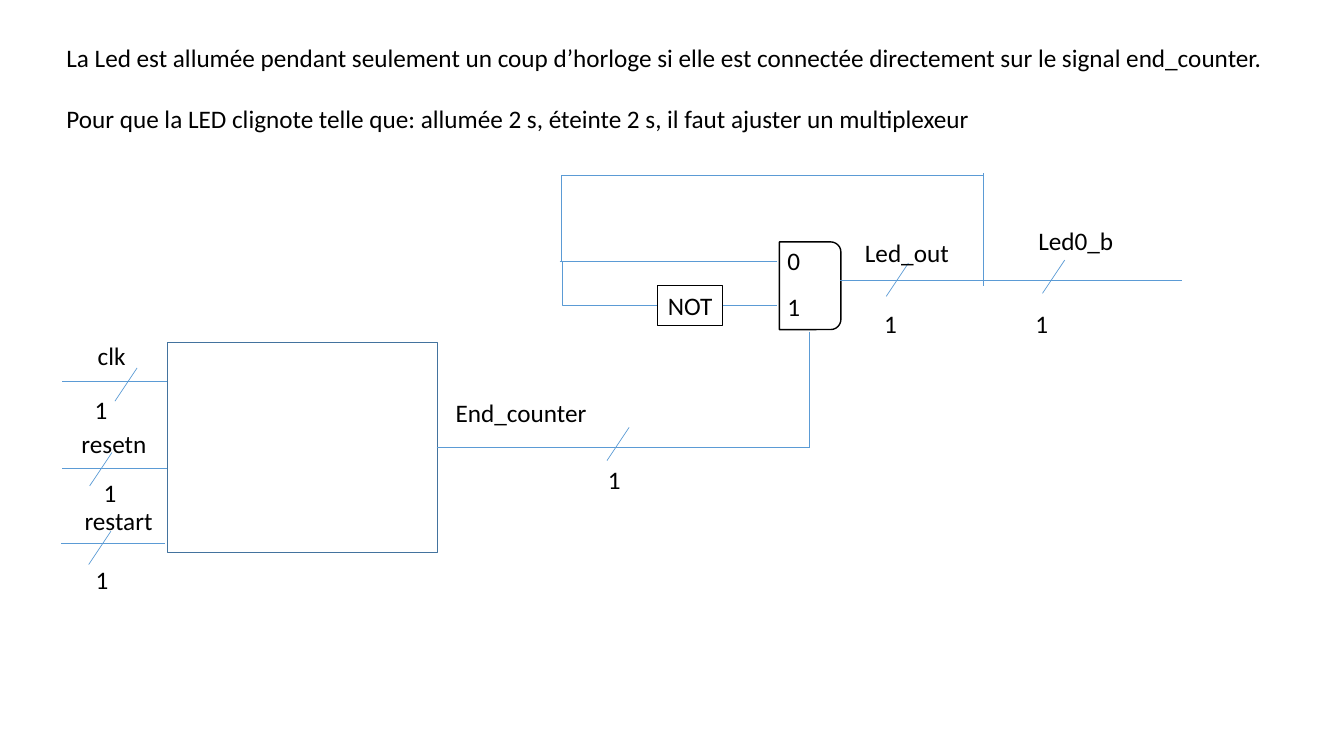
from lxml import etree
from pptx import Presentation
from pptx.dml.color import RGBColor
from pptx.enum.shapes import MSO_CONNECTOR, MSO_SHAPE
from pptx.enum.text import MSO_ANCHOR, MSO_AUTO_SIZE, PP_ALIGN
from pptx.oxml.ns import qn
from pptx.util import Inches, Pt

STRAIGHT = MSO_CONNECTOR.STRAIGHT
ELBOW = MSO_CONNECTOR.ELBOW
RECTANGLE = MSO_SHAPE.RECTANGLE
MULTIPLEXER = MSO_SHAPE.ROUND_2_SAME_RECTANGLE
CENTER = PP_ALIGN.CENTER
MIDDLE = MSO_ANCHOR.MIDDLE
GROW = MSO_AUTO_SIZE.SHAPE_TO_FIT_TEXT

COLORS = {"text": "000000", "wire": "5B9BD5", "block": "43739E", "white": "FFFFFF"}
LABEL_HEIGHT = 0.4
SLASH_WIDTH, SLASH_HEIGHT = 0.22, 0.33

EXPLANATION = [
    "La Led est allumée pendant seulement un coup d’horloge si elle est connectée "
    "directement sur le signal end_counter.",
    "Pour que la LED clignote telle que: allumée 2 s, éteinte 2 s, "
    "il faut ajuster un multiplexeur",
]
LABELS = [
    ("clk", 0.87, 3.33, 0.48),
    ("resetn", 0.71, 4.2, 0.85),
    ("restart", 0.74, 4.96, 0.88),
    ("End_counter", 4.42, 3.89, 1.51),
    ("Led_out", 8.48, 2.31, 1.05),
    ("Led0_b", 10.2, 2.19, 0.96),
    ("0", 7.71, 2.38, 0.29),
    ("1", 7.71, 2.84, 0.29),
]
WIRES = [
    (0.62, 3.78, 1.66, 3.78),
    (0.62, 4.65, 1.66, 4.65),
    (0.61, 5.39, 1.64, 5.39),
    (4.33, 4.44, 8.03, 4.44),
    (8.03, 3.29, 8.03, 4.43),
    (8.33, 2.78, 11.72, 2.78),
    (9.75, 1.72, 9.75, 2.84),
    (7.17, 3.03, 7.71, 3.03),
]
BENT_WIRES = [
    ((7.71, 2.59, 9.75, 1.74), 5.57),
    ((5.55, 2.59, 6.52, 3.03), 5.58),
]
BUS_WIDTHS = [
    ((1.36, 3.65), (0.84, 3.86)),
    ((1.11, 4.49), (0.93, 4.69)),
    ((1.1, 5.27), (0.85, 5.55)),
    ((6.24, 4.24), (5.93, 4.56)),
    ((9.01, 2.61), (8.67, 3.01)),
    ((10.56, 2.58), (10.17, 3.01)),
]


def color(name):
    return RGBColor.from_string(COLORS[name])


def write(shape, lines):
    frame = shape.text_frame
    frame.word_wrap = False
    frame.auto_size = GROW
    frame.text = "\n".join(lines)
    for paragraph in frame.paragraphs:
        paragraph.font.name = "Calibri"
        paragraph.font.size = Pt(18)
        paragraph.font.color.rgb = color("text")
    return frame


def add_text(slide, lines, left, top, width, height=LABEL_HEIGHT):
    box = slide.shapes.add_textbox(Inches(left), Inches(top), Inches(width), Inches(height))
    return write(box, lines)


def add_block(slide, kind, left, top, width, height, line, weight, fill=None):
    block = slide.shapes.add_shape(
        kind, Inches(left), Inches(top), Inches(width), Inches(height))
    block.shadow.inherit = False
    if fill:
        block.fill.solid()
        block.fill.fore_color.rgb = color(fill)
    else:
        block.fill.background()
    block.line.color.rgb = color(line)
    block.line.width = Pt(weight)
    return block


def add_wire(slide, x1, y1, x2, y2, kind=STRAIGHT):
    wire = slide.shapes.add_connector(kind, Inches(x1), Inches(y1), Inches(x2), Inches(y2))
    wire.line.color.rgb = color("wire")
    wire.line.width = Pt(0.5)
    etree.SubElement(wire._element.spPr, qn("a:effectLst"))
    return wire


def add_bent_wire(slide, x1, y1, x2, y2, bend_x):
    wire = add_wire(slide, x1, y1, x2, y2, ELBOW)
    adjustments = wire._element.spPr.find(qn("a:prstGeom")).get_or_add_avLst()
    ratio = round((bend_x - x1) / (x2 - x1) * 100000)
    etree.SubElement(adjustments, qn("a:gd"), name="adj1", fmla=f"val {ratio}")


def add_bus_width(slide, slash, label):
    x, y = slash
    add_wire(slide, x, y, x - SLASH_WIDTH, y + SLASH_HEIGHT)
    add_text(slide, ["1"], *label, 0.33)


def main():
    presentation = Presentation()
    presentation.slide_width = Inches(13.33)
    presentation.slide_height = Inches(7.5)
    slide = presentation.slides.add_slide(presentation.slide_layouts[6])

    explanation = add_text(slide, EXPLANATION, 0.56, 0.37, 12.22, 1.01)
    explanation.paragraphs[0].space_after = Pt(22)

    add_block(slide, RECTANGLE, 1.66, 3.4, 2.68, 2.08, "block", 1)
    multiplexer = add_block(slide, MULTIPLEXER, 7.6, 2.53, 0.87, 0.61, "text", 1, "white")
    multiplexer.rotation = 90
    inverter = add_block(slide, RECTANGLE, 6.52, 2.83, 0.65, 0.4, "text", 0.75)
    frame = write(inverter, ["NOT"])
    frame.vertical_anchor = MIDDLE
    frame.paragraphs[0].alignment = CENTER

    for wire in WIRES:
        add_wire(slide, *wire)
    for ends, bend_x in BENT_WIRES:
        add_bent_wire(slide, *ends, bend_x)
    for slash, label in BUS_WIDTHS:
        add_bus_width(slide, slash, label)
    for text, left, top, width in LABELS:
        add_text(slide, [text], left, top, width)

    presentation.save("out.pptx")


if __name__ == "__main__":
    main()
